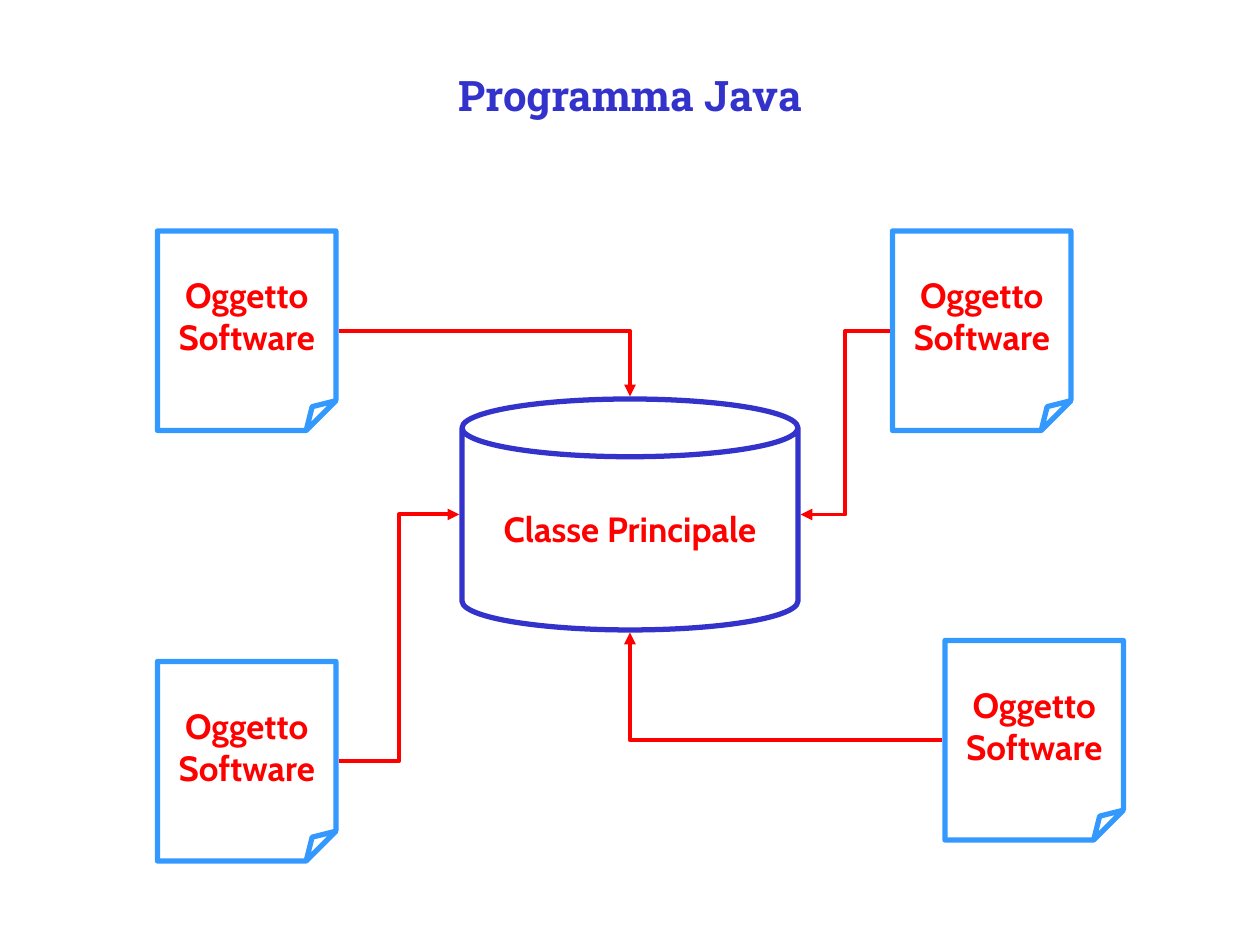
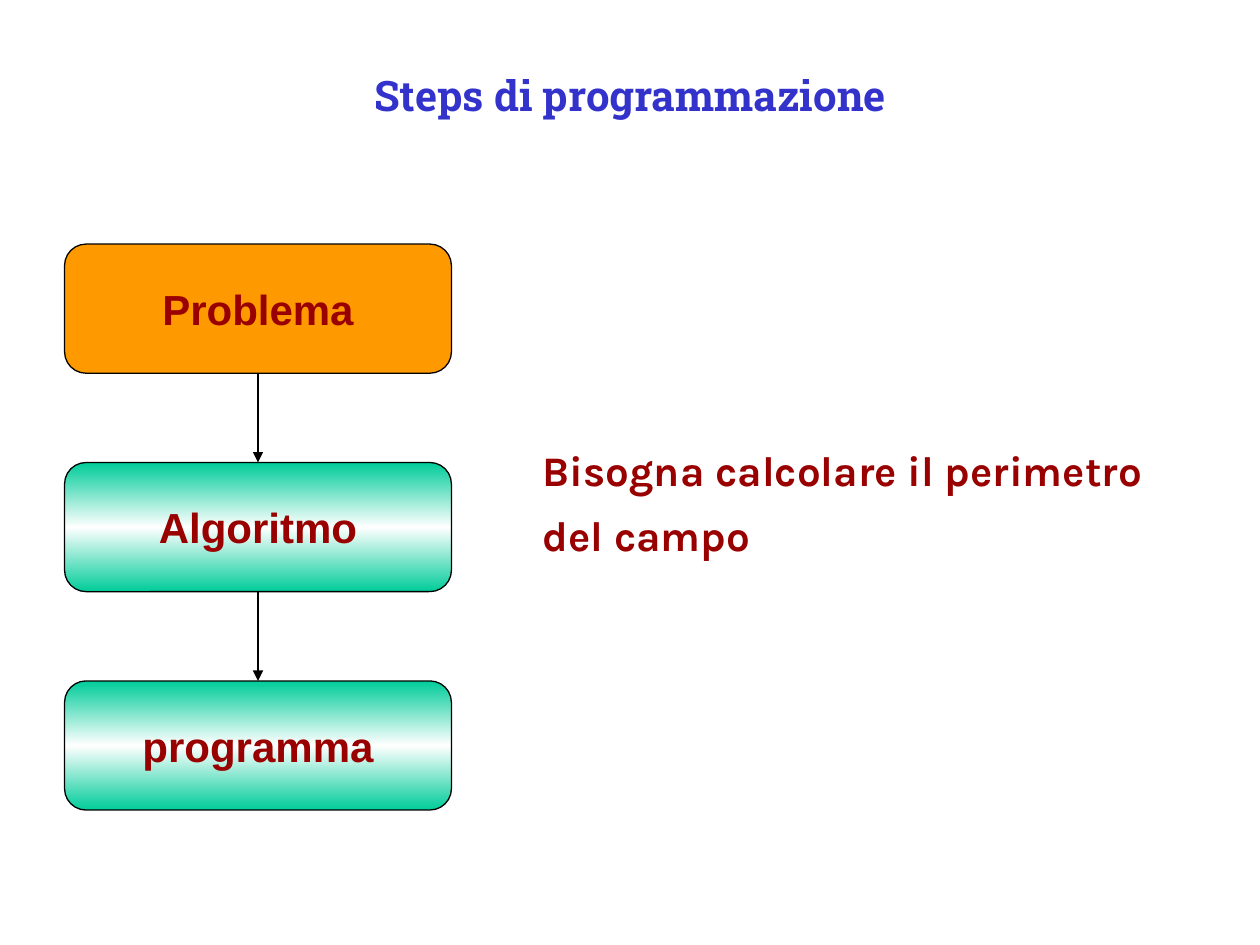
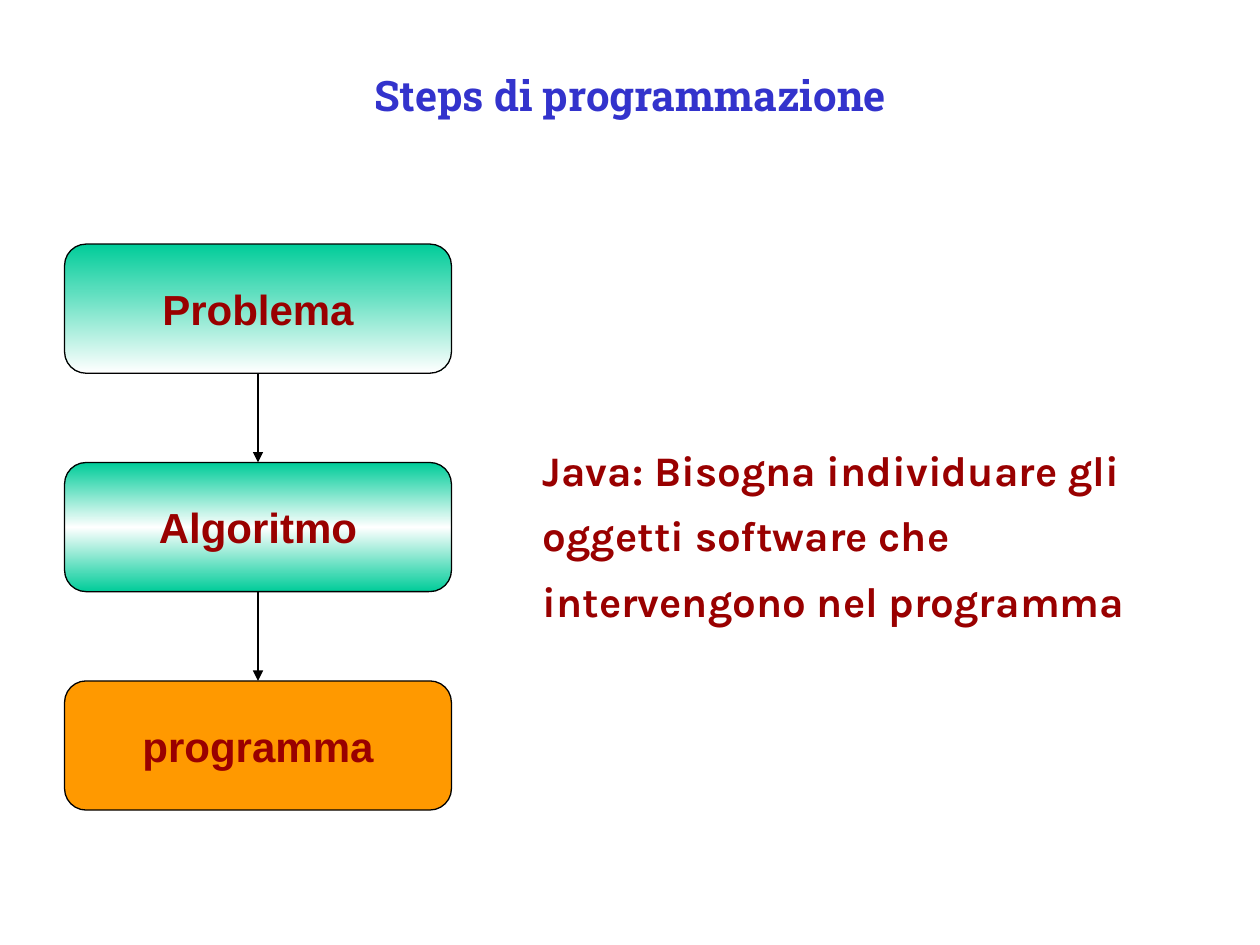
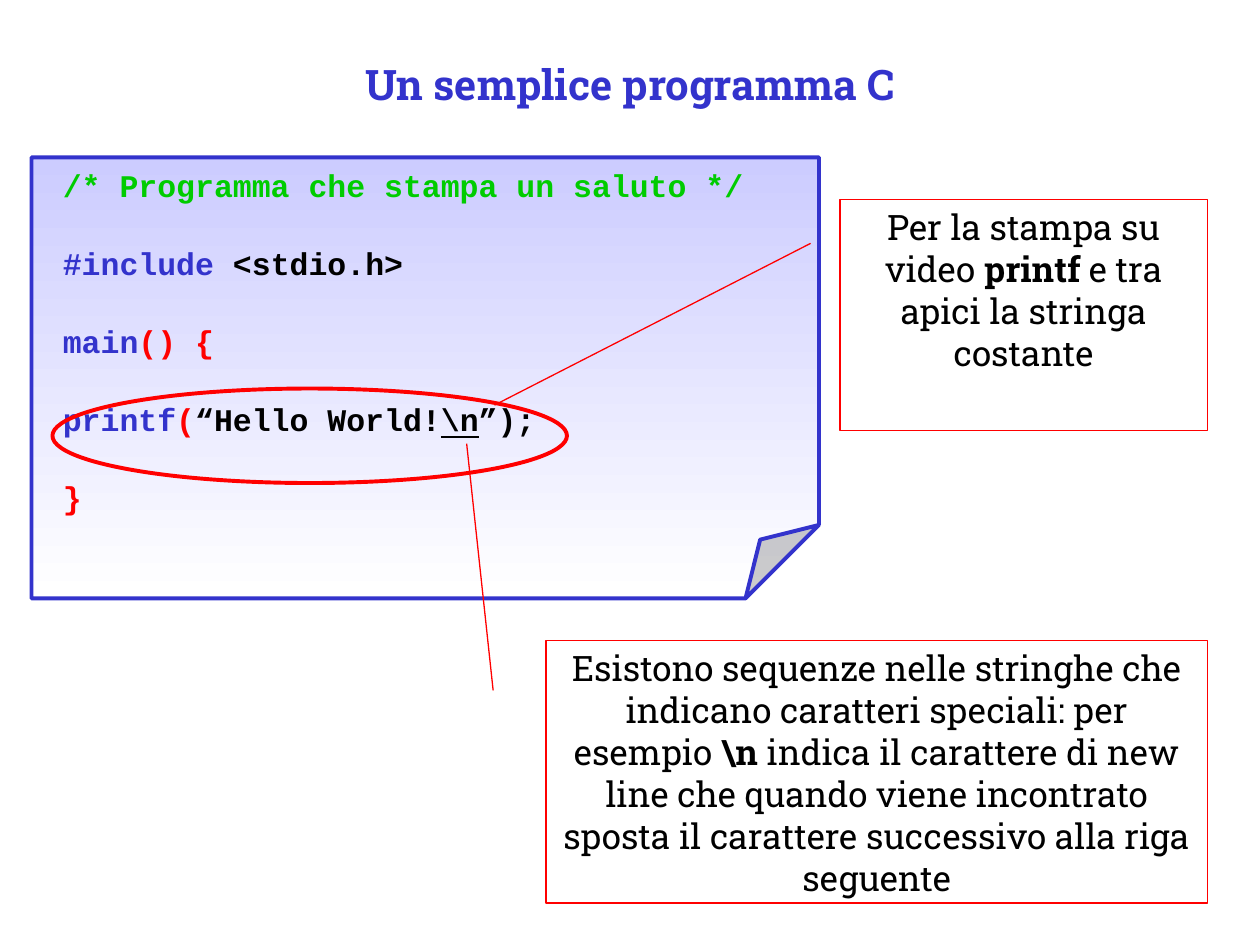
"""Build four slides on Java objects, programming steps and a simple C program."""
from copy import deepcopy

from pptx import Presentation, util as u
from pptx.dml.color import RGBColor
from pptx.enum import shapes, text
from pptx.oxml.ns import qn
from lxml import etree

BLUE = RGBColor(0x33, 0x33, 0xCC)
SKY = RGBColor(0x33, 0x99, 0xFF)
LAVENDER = RGBColor(0xCC, 0xCC, 0xFF)
RED = RGBColor(0xFF, 0x00, 0x00)
MAROON = RGBColor(0x99, 0x00, 0x00)
ORANGE = RGBColor(0xFF, 0x99, 0x00)
TEAL = RGBColor(0x00, 0xCC, 0x99)
GREEN = RGBColor(0x00, 0xCC, 0x00)
BLACK = RGBColor(0x00, 0x00, 0x00)
WHITE = RGBColor(0xFF, 0xFF, 0xFF)

TITLE_FONT = ("Roboto Slab", 24, BLUE, True)
OBJECT_FONT = ("Cabin", 20, RED, True)
STEP_FONT = ("Arial", 24, MAROON, True)
BODY_FONT = ("Karla", 24, MAROON, True)
CODE_FONT = ("Courier New", 18, BLACK, True)
CALLOUT_FONT = ("Roboto Slab", 20, BLACK, False)

SHAPE = shapes.MSO_SHAPE
CONNECTOR = shapes.MSO_CONNECTOR
CENTER, LEFT = text.PP_ALIGN.CENTER, text.PP_ALIGN.LEFT
MIDDLE, TOP = text.MSO_ANCHOR.MIDDLE, text.MSO_ANCHOR.TOP

presentation = Presentation()
presentation.slide_width = u.Inches(10)
presentation.slide_height = u.Inches(7.5)
CELL = presentation.slide_width // 120


def add_figure(slide, kind, box, content="", font=CODE_FONT, outline=None, weight=0,
               align=CENTER, anchor=MIDDLE, wrap=False):
    """Add a shape, or a text box when kind is None, placed in grid cells."""
    box = [round(value * CELL) for value in box]
    if kind is None:
        shape = slide.shapes.add_textbox(*box)
    else:
        shape = slide.shapes.add_shape(kind, *box)
        shape.shadow.inherit = False
        shape.fill.background()
        shape.line.color.rgb = outline
        shape.line.width = u.Pt(weight)
    frame = shape.text_frame
    frame.word_wrap = wrap
    frame.vertical_anchor = anchor
    frame.text = content
    for paragraph in frame.paragraphs:
        paragraph.alignment = align
        name, size, color, bold = font
        paragraph.font.name = name
        paragraph.font.size = u.Pt(size)
        paragraph.font.color.rgb = color
        paragraph.font.bold = bold
    return shape


def add_arrow(slide, kind, points, color, weight):
    """Add a connector with an arrowhead at its end, placed in grid cells."""
    connector = slide.shapes.add_connector(kind, *[round(value * CELL) for value in points])
    connector.line.color.rgb = color
    connector.line.width = u.Pt(weight)
    properties = connector.element.spPr
    etree.SubElement(properties.find(qn("a:ln")), qn("a:tailEnd"), type="triangle")
    etree.SubElement(properties, qn("a:effectLst"))
    return connector


slides = []
for title, top in [("Programma Java", 5), ("Steps di programmazione", 5),
                   ("Steps di programmazione", 5), ("Un semplice programma C", 4)]:
    slide = presentation.slides.add_slide(presentation.slide_layouts[6])
    add_figure(slide, None, (9, top, 102, 8), title, TITLE_FONT, wrap=True)
    slides.append(slide)
objects_slide, problem_slide, program_slide, code_slide = slides

add_figure(objects_slide, SHAPE.CAN, (44, 38, 32, 22), "Classe Principale", OBJECT_FONT, BLUE, 3)
for column, row in [(15, 22), (15, 63), (85, 22), (90, 61)]:
    add_figure(objects_slide, SHAPE.FOLDED_CORNER, (column, row, 17, 19),
               "Oggetto\nSoftware", OBJECT_FONT, SKY, 3)
for points, preset in [((32.25, 31.5, 60, 37.75), "bentConnector2"),
                       ((84.75, 31.5, 76.25, 49), "bentConnector3"),
                       ((89.75, 70.5, 60, 60.25), "bentConnector2"),
                       ((32.25, 72.5, 43.75, 49), "bentConnector3")]:
    arrow = add_arrow(objects_slide, CONNECTOR.ELBOW, points, RED, 2.25)
    arrow.element.spPr.find(qn("a:prstGeom")).set("prst", preset)

STEPS = ["Problema", "Algoritmo", "programma"]
STEP_LEFT, STEP_TOP, STEP_WIDTH, STEP_HEIGHT, STEP_PITCH = 6.15, 23.25, 36.85, 12.3, 20.8
for slide, current, sentence, height in [
        (problem_slide, "Problema", "Bisogna calcolare il perimetro del campo", 13.7),
        (program_slide, "programma", "Java: Bisogna individuare gli oggetti software "
                                     "che intervengono nel programma", 19.9)]:
    for index, step in enumerate(STEPS):
        top = STEP_TOP + index * STEP_PITCH
        shape = add_figure(slide, SHAPE.ROUNDED_RECTANGLE,
                           (STEP_LEFT, top, STEP_WIDTH, STEP_HEIGHT), step, STEP_FONT, BLACK, 0.75)
        if step == current:
            shape.fill.solid()
            shape.fill.fore_color.rgb = ORANGE
        else:
            shape.fill.gradient()
            shape.fill.gradient_angle = 270
            first, last = shape.fill.gradient_stops
            first.color.rgb, last.color.rgb = TEAL, WHITE
            first.position, last.position = 0, 1
            if index:
                last.position = 0.5
                stops = shape.element.spPr.find(qn("a:gradFill")).find(qn("a:gsLst"))
                stops.append(deepcopy(stops[0]))
                stops[-1].set("pos", "100000")
            center = STEP_LEFT + STEP_WIDTH / 2
        if index:
            add_arrow(slide, CONNECTOR.STRAIGHT,
                      (center, top - STEP_PITCH + STEP_HEIGHT, center, top), BLACK, 0.75) \
                if step != STEPS[0] and slide is problem_slide or index else None
    body = add_figure(slide, None, (50.5, 40.3, 66.1, height), sentence, BODY_FONT,
                      align=LEFT, anchor=TOP, wrap=True)
    body.text_frame.paragraphs[0].line_spacing = 1.3

CODE = [
    [(" /* Programma che stampa un saluto */", GREEN)],
    [(" #include", BLUE), (" <stdio.h>", BLACK)],
    [(" main", BLUE), ("() {", RED)],
    [(" printf", BLUE), ("(", RED), ("“Hello World!", BLACK), ("\\n", BLACK), ("”);", BLACK)],
    [(" }", RED)],
]
page = add_figure(code_slide, SHAPE.FOLDED_CORNER, (3, 15, 75, 42), "\n" * (len(CODE) - 1),
                  CODE_FONT, BLUE, 2.25, align=LEFT)
page.fill.gradient()
page.fill.gradient_angle = 270
for stop, color, position in zip(page.fill.gradient_stops, (LAVENDER, WHITE), (0, 1)):
    stop.color.rgb = color
    stop.position = position
for index, (paragraph, pieces) in enumerate(zip(page.text_frame.paragraphs, CODE)):
    if index:
        paragraph.space_before = u.Pt(23)
    for piece, color in pieces:
        run = paragraph.add_run()
        run.text = piece
        run.font.color.rgb = color
        if piece == "\\n":
            run.font.underline = True

add_figure(code_slide, SHAPE.OVAL, (5, 37, 49, 9), outline=RED, weight=2.25)

for box, pointer, pieces in [
        ((80, 19, 35, 22), (0.19, -0.08, 0.89, -0.94),
         ["Per la stampa su video ", "printf", " e tra apici la stringa costante"]),
        ((52, 61, 63, 25), (0.19, -0.08, -0.75, -0.12),
         ["Esistono sequenze nelle stringhe che indicano caratteri speciali: per esempio ", "\\n",
          " indica il carattere di new line che quando viene incontrato sposta il carattere "
          "successivo alla riga seguente"])]:
    callout = add_figure(code_slide, SHAPE.LINE_CALLOUT_1, box, "", CALLOUT_FONT, RED, 0.75,
                         anchor=TOP, wrap=True)
    for index, value in enumerate(pointer):
        callout.adjustments[index] = value
    for index, piece in enumerate(pieces):
        run = callout.text_frame.paragraphs[0].add_run()
        run.text = piece
        run.font.bold = index == 1

presentation.save("out.pptx")
